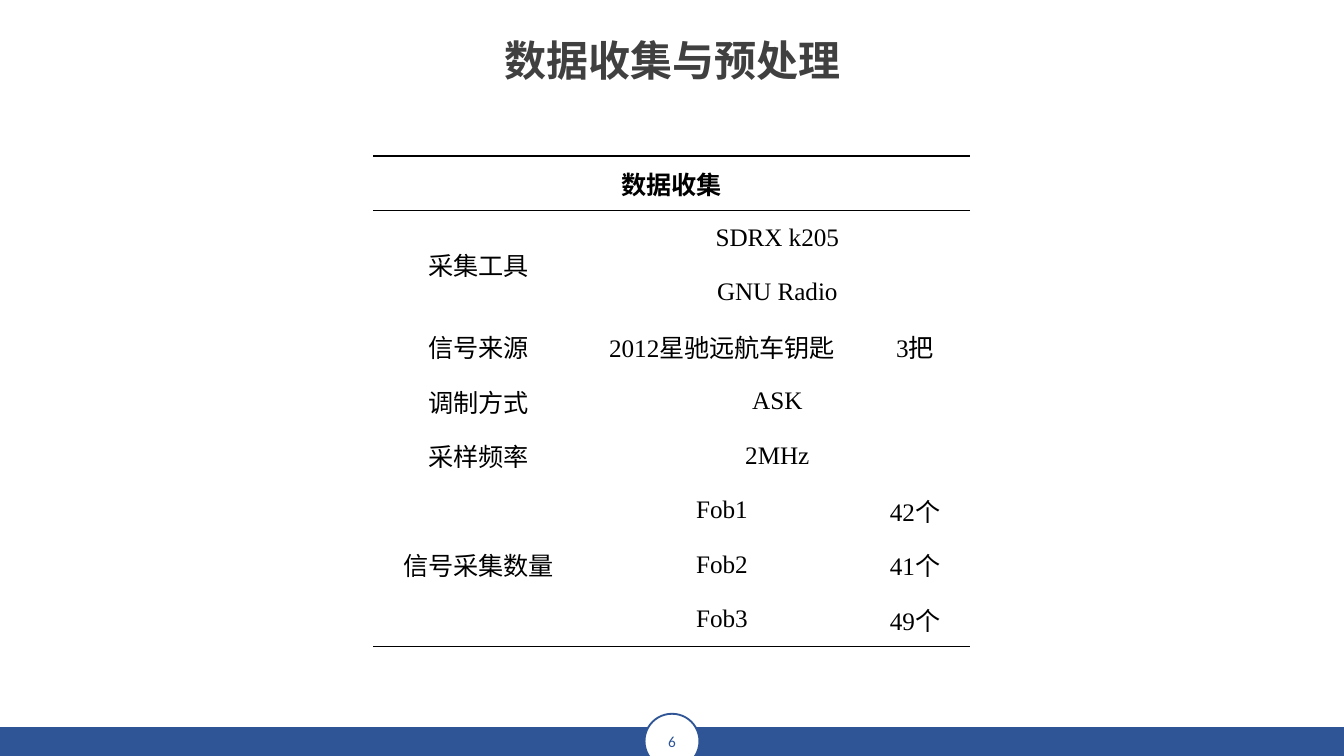
"""Build the data collection and preprocessing slide."""
from dataclasses import dataclass

import pptx
import pptx.dml.color
import pptx.enum.shapes
import pptx.enum.text
import pptx.oxml
import pptx.oxml.ns
import pptx.slide
import pptx.table
import pptx.text.text
import pptx.util

Pt = pptx.util.Pt
RGBColor = pptx.dml.color.RGBColor
MSO_SHAPE = pptx.enum.shapes.MSO_SHAPE
ALIGN_CENTER = pptx.enum.text.PP_ALIGN.CENTER
ANCHOR_MIDDLE = pptx.enum.text.MSO_ANCHOR.MIDDLE

BLUE = RGBColor(0x2F, 0x55, 0x96)
GRAY = RGBColor(0x40, 0x40, 0x40)
BLACK = RGBColor(0, 0, 0)
WHITE = RGBColor(0xFF, 0xFF, 0xFF)

SLIDE_WIDTH, SLIDE_HEIGHT = 720, 405
BAR_HEIGHT = 15.4
BADGE_SIZE = 29.4
TABLE_LEFT, TABLE_TOP = 200, 83.5
COLUMN_WIDTHS = (113, 147.6, 59.2)
ROW_HEIGHT = 29.2
ROW_COUNT = 9


@dataclass(frozen=True)
class TextStyle:
    font: str
    size: float
    color: RGBColor
    bold: bool = False


@dataclass(frozen=True)
class Entry:
    row: int
    column: int
    text: str
    rows: int = 1
    columns: int = 1


TITLE_STYLE = TextStyle("Times New Roman", 22.5, GRAY, True)
NUMBER_STYLE = TextStyle("Calibri", 8.2, BLUE)
HEADER_STYLE = TextStyle("Calibri", 13.5, BLACK, True)
BODY_STYLE = TextStyle("Times New Roman", 13.5, BLACK)

ENTRIES = (
    Entry(0, 0, "数据收集", columns=3),
    Entry(1, 0, "采集工具", rows=2),
    Entry(1, 1, "SDRX k205", columns=2),
    Entry(2, 1, "GNU Radio", columns=2),
    Entry(3, 0, "信号来源"),
    Entry(3, 1, "2012星驰远航车钥匙"),
    Entry(3, 2, "3把"),
    Entry(4, 0, "调制方式"),
    Entry(4, 1, "ASK", columns=2),
    Entry(5, 0, "采样频率"),
    Entry(5, 1, "2MHz", columns=2),
    Entry(6, 0, "信号采集数量", rows=3),
    Entry(6, 1, "Fob1"),
    Entry(6, 2, "42个"),
    Entry(7, 1, "Fob2"),
    Entry(7, 2, "41个"),
    Entry(8, 1, "Fob3"),
    Entry(8, 2, "49个"),
)


def write_text(text_frame: pptx.text.text.TextFrame, text: str, style: TextStyle) -> None:
    text_frame.text = text
    paragraph = text_frame.paragraphs[0]
    paragraph.alignment = ALIGN_CENTER
    font = paragraph.runs[0].font
    font.name = style.font
    font.size = Pt(style.size)
    font.bold = style.bold
    font.color.rgb = style.color


def draw_footer(slide: pptx.slide.Slide, number: str) -> None:
    bar = slide.shapes.add_shape(
        MSO_SHAPE.RECTANGLE, 0, Pt(SLIDE_HEIGHT - BAR_HEIGHT), Pt(SLIDE_WIDTH), Pt(BAR_HEIGHT)
    )
    badge = slide.shapes.add_shape(
        MSO_SHAPE.OVAL, Pt((SLIDE_WIDTH - BADGE_SIZE) / 2), Pt(382.4), Pt(BADGE_SIZE), Pt(BADGE_SIZE)
    )
    for shape, color in ((bar, BLUE), (badge, WHITE)):
        shape.shadow.inherit = False
        shape.fill.solid()
        shape.fill.fore_color.rgb = color
    bar.line.fill.background()
    badge.line.color.rgb = BLUE
    badge.line.width = Pt(1)
    text_frame = badge.text_frame
    text_frame.margin_left = text_frame.margin_right = 0
    text_frame.vertical_anchor = ANCHOR_MIDDLE
    write_text(text_frame, number, NUMBER_STYLE)


def draw_title(slide: pptx.slide.Slide, text: str) -> None:
    text_frame = slide.shapes.add_textbox(Pt(263.5), Pt(15.8), Pt(193.7), Pt(32.4)).text_frame
    text_frame.word_wrap = False
    text_frame.margin_left = text_frame.margin_right = Pt(5)
    text_frame.margin_top = text_frame.margin_bottom = Pt(2.7)
    write_text(text_frame, text, TITLE_STYLE)


def set_borders(cell: pptx.table._Cell, top: float, bottom: float) -> None:
    properties = cell._tc.get_or_add_tcPr()
    widths = {"lnL": 0, "lnR": 0, "lnT": top, "lnB": bottom}
    for position, (side, width) in enumerate(widths.items()):
        paint = f'<a:solidFill><a:srgbClr val="{BLACK}"/></a:solidFill>' if width else "<a:noFill/>"
        border = pptx.oxml.parse_xml(
            f'<a:{side} {pptx.oxml.ns.nsdecls("a")} w="{int(Pt(width))}">{paint}</a:{side}>'
        )
        properties.insert(position, border)


def draw_table(slide: pptx.slide.Slide, entries: tuple[Entry, ...]) -> None:
    table = slide.shapes.add_table(
        ROW_COUNT, len(COLUMN_WIDTHS), Pt(TABLE_LEFT), Pt(TABLE_TOP),
        Pt(sum(COLUMN_WIDTHS)), Pt(ROW_HEIGHT * ROW_COUNT),
    ).table
    table.first_row = table.horz_banding = False
    for column, width in zip(table.columns, COLUMN_WIDTHS):
        column.width = Pt(width)
    for row in table.rows:
        row.height = Pt(ROW_HEIGHT)
    for entry in entries:
        cell = table.cell(entry.row, entry.column)
        last_row = entry.row + entry.rows - 1
        last_column = entry.column + entry.columns - 1
        if entry.rows > 1 or entry.columns > 1:
            cell.merge(table.cell(last_row, last_column))
        cell.vertical_anchor = ANCHOR_MIDDLE
        write_text(cell.text_frame, entry.text, BODY_STYLE if entry.row else HEADER_STYLE)
        top = 1 if entry.row <= 1 else 0
        bottom = 1 if entry.row == 0 else 0.5 if last_row == ROW_COUNT - 1 else 0
        for row in range(entry.row, last_row + 1):
            for column in range(entry.column, last_column + 1):
                part = table.cell(row, column)
                part.fill.solid()
                part.fill.fore_color.rgb = WHITE
                set_borders(part, top if row == entry.row else 0, bottom if row in (entry.row, last_row) and
                            (row == last_row or part.is_merge_origin) else 0)


def main() -> None:
    presentation = pptx.Presentation()
    presentation.slide_width = Pt(SLIDE_WIDTH)
    presentation.slide_height = Pt(SLIDE_HEIGHT)
    slide = presentation.slides.add_slide(presentation.slide_layouts[6])
    draw_footer(slide, "6")
    draw_title(slide, "数据收集与预处理")
    draw_table(slide, ENTRIES)
    presentation.save("out.pptx")


if __name__ == "__main__":
    main()
